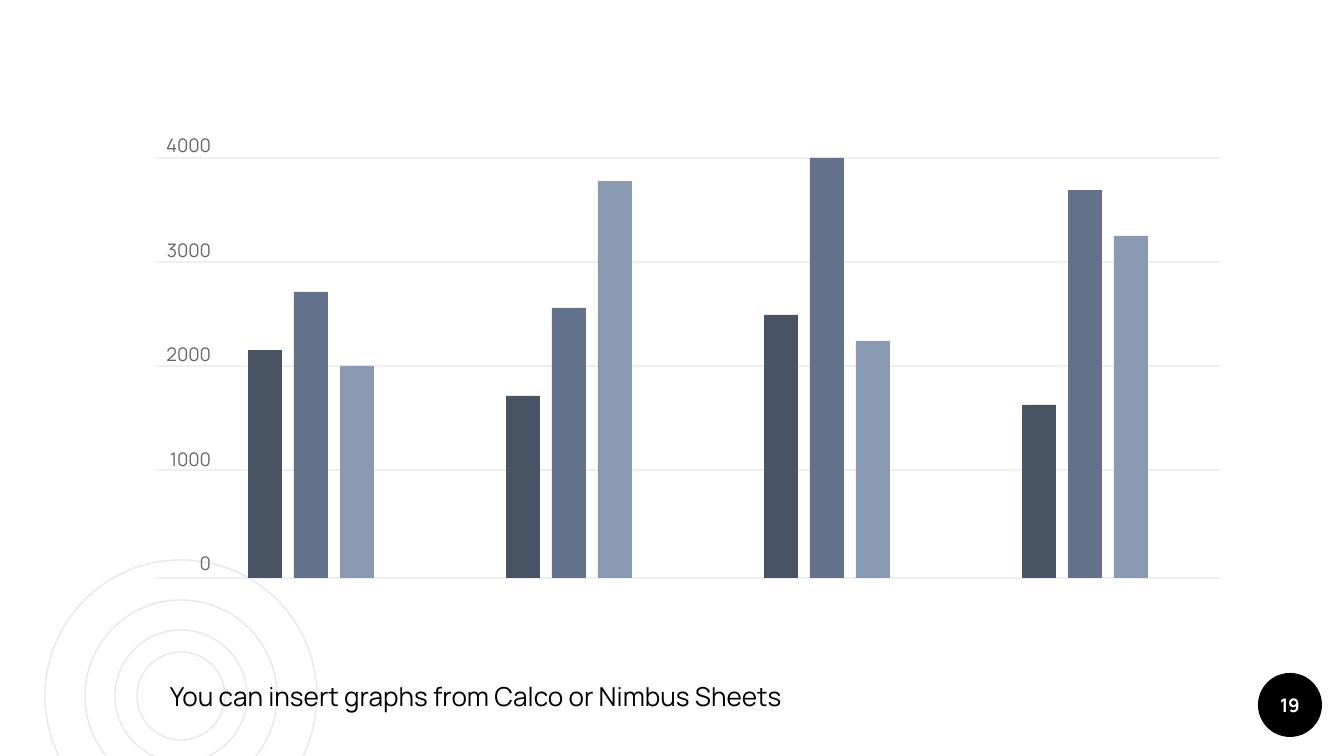
"""Build a slide with a grouped column graph, a caption and a page badge."""
import lxml.etree
import pptx
import pptx.dml.color
import pptx.enum.shapes
import pptx.enum.text
import pptx.oxml.ns
import pptx.util

RGBColor = pptx.dml.color.RGBColor
Align = pptx.enum.text.PP_ALIGN
Anchor = pptx.enum.text.MSO_ANCHOR
Shape = pptx.enum.shapes.MSO_SHAPE

BLACK = RGBColor(0x00, 0x00, 0x00)
WHITE = RGBColor(0xFF, 0xFF, 0xFF)
LABEL_GREY = RGBColor(0x66, 0x66, 0x66)
GRID_GREY = RGBColor(0xEF, 0xEF, 0xEF)
RING_GREY = RGBColor(0xE8, 0xE8, 0xE8)
SLATE = RGBColor(0x48, 0x53, 0x64)
STEEL = RGBColor(0x63, 0x72, 0x8A)
MIST = RGBColor(0x8B, 0x9A, 0xB3)

FONT = "Manrope"
EMU_PER_PX = 914400 / 134.4
BASELINE = 578
GRID_LEFT, GRID_RIGHT = 157, 1221
GRID_ROWS = [158, 262, 366, 470, BASELINE]
SERIES_COLORS = [SLATE, STEEL, MIST]
BAR_HEIGHTS = [(228, 286, 212), (182, 270, 397), (263, 420, 237), (173, 388, 342)]
FIRST_BAR, GROUP_STEP, BAR_STEP, BAR_WIDTH = 248, 258, 46, 34


def px(*lengths):
    return [pptx.util.Emu(round(length * EMU_PER_PX)) for length in lengths]


class Painter:
    def __init__(self, slide):
        self.slide = slide

    def shape(self, kind, box, fill=None, line=None):
        shape = self.slide.shapes.add_shape(kind, *px(*box))
        shape.shadow.inherit = False
        if fill is None:
            shape.fill.background()
        else:
            shape.fill.solid()
            shape.fill.fore_color.rgb = fill
        if line is None:
            shape.line.fill.background()
        else:
            shape.line.color.rgb = line
            shape.line.width = pptx.util.Pt(0.75)
        return shape

    def gridline(self, y):
        line = self.slide.shapes.add_connector(
            pptx.enum.shapes.MSO_CONNECTOR.STRAIGHT, *px(GRID_LEFT, y, GRID_RIGHT, y))
        line.line.color.rgb = GRID_GREY
        line.line.width = pptx.util.Pt(0.75)
        properties = line._element.spPr
        lxml.etree.SubElement(properties, pptx.oxml.ns.qn("a:effectLst"))

    def textbox(self, box, lines, **style):
        self.add_text(self.slide.shapes.add_textbox(*px(*box)), lines, **style)

    def add_text(self, shape, lines, size, color, align=Align.LEFT, anchor=Anchor.TOP,
                 inset=0, first_gap=0, gap=0, bold=False):
        frame = shape.text_frame
        frame.word_wrap = True
        frame.vertical_anchor = anchor
        frame.margin_left, frame.margin_top, frame.margin_right, frame.margin_bottom = px(*[inset] * 4)
        for index, text in enumerate(lines):
            paragraph = frame.add_paragraph() if index else frame.paragraphs[0]
            paragraph.alignment = align
            paragraph.space_before = pptx.util.Pt(gap if index else first_gap)
            run = paragraph.add_run()
            run.text = text
            run.font.name = FONT
            run.font.size = pptx.util.Pt(size)
            run.font.bold = bold
            run.font.color.rgb = color


def main():
    deck = pptx.Presentation()
    deck.slide_width, deck.slide_height = px(1344, 756)
    painter = Painter(deck.slides.add_slide(deck.slide_layouts[6]))

    for radius in (136, 66, 96, 44):
        ring = (181 - radius, 696 - radius, 2 * radius, 2 * radius)
        painter.shape(Shape.OVAL, ring, line=RING_GREY)

    badge = painter.shape(Shape.OVAL, (1258, 673, 64, 64), fill=BLACK)
    painter.add_text(badge, ["19"], 10, WHITE, align=Align.CENTER, anchor=Anchor.MIDDLE, bold=True)

    painter.textbox((157, 648, 677, 77), ["You can insert graphs from Calco or Nimbus Sheets"],
                    size=14, color=BLACK, anchor=Anchor.BOTTOM, inset=13, first_gap=3.6)

    for y in GRID_ROWS:
        painter.gridline(y)
    painter.textbox((157, 134, 54, 445), ["4000", "3000", "2000", "1000", "0"],
                    size=10, color=LABEL_GREY, align=Align.RIGHT, gap=44)

    for group, heights in enumerate(BAR_HEIGHTS):
        for series, (height, color) in enumerate(zip(heights, SERIES_COLORS)):
            left = FIRST_BAR + group * GROUP_STEP + series * BAR_STEP
            painter.shape(Shape.RECTANGLE, (left, BASELINE - height, BAR_WIDTH, height), fill=color)

    deck.save("out.pptx")


if __name__ == "__main__":
    main()
